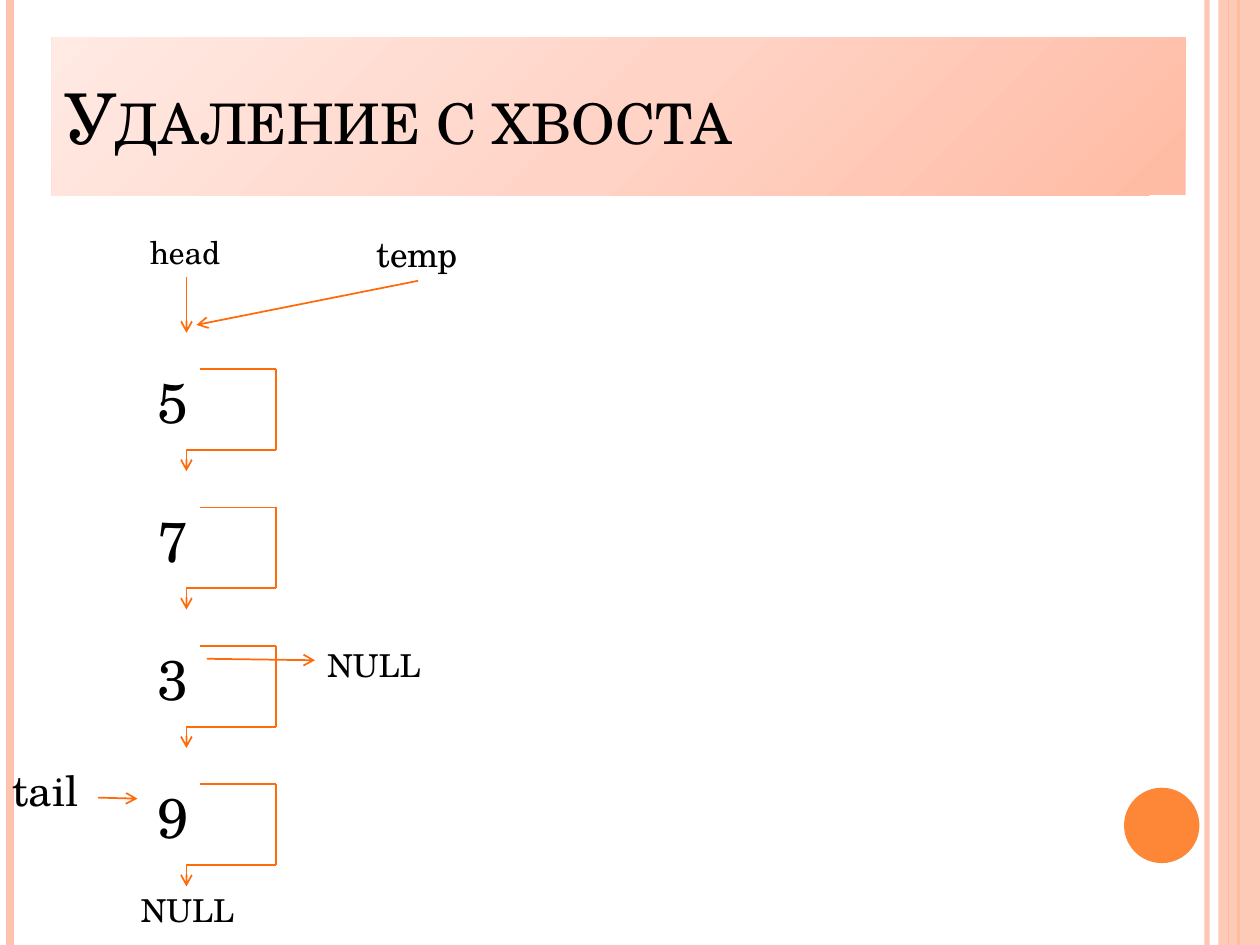
from copy import deepcopy

from lxml import etree
from pptx import Presentation
from pptx.dml.color import RGBColor
from pptx.enum.shapes import MSO_CONNECTOR, MSO_SHAPE
from pptx.enum.text import MSO_ANCHOR, MSO_AUTO_SIZE, PP_ALIGN
from pptx.oxml.ns import qn
from pptx.util import Cm, Pt

STRAIGHT, ELBOW = MSO_CONNECTOR.STRAIGHT, MSO_CONNECTOR.ELBOW
RECTANGLE, OVAL = MSO_SHAPE.RECTANGLE, MSO_SHAPE.OVAL
MIDDLE, LEFT = MSO_ANCHOR.MIDDLE, PP_ALIGN.LEFT
FIT_TEXT = MSO_AUTO_SIZE.SHAPE_TO_FIT_TEXT

FONT = "TeX Gyre Schola"
COLORS = {
    "text": "000000", "arrow": "FF6B0A", "accent": "FE8637", "stripe": "FEC3AE",
    "title dark": "FFBBA3", "title mid": "FFD4C7", "title light": "FFEAE4",
}

# Content; all lengths in centimetres
WIDTH, HEIGHT = 25.4, 19.05
TITLE = "Удаление с хвоста"
NODES = ["5", "7", "3", "9"]
LABELS = [  # text, left, top, width, height, size, wrap
    ("temp", 7.34, 4.57, 2.18, 1.12, 20, False),
    ("tail", 0, 15.29, 1.98, 1.27, 24, True),
    ("head", 2.77, 4.57, 1.98, 1.02, 18, True),
    ("NULL", 2.59, 17.83, 2.59, 1.02, 18, True),
    ("NULL", 6.35, 12.9, 2.59, 1.02, 18, True),
]
POINTERS = [  # start, end
    ((1.98, 16.08), (2.77, 16.1)),
    ((3.76, 5.59), (3.76, 6.71)),
    ((8.43, 5.66), (3.96, 6.55)),
    ((4.17, 13.28), (6.35, 13.31)),
]
STRIPES = [  # x, colour, line width, opacity
    (24.33, "stripe", 3, 93),
    (0.2, "stripe", 4.5, 100),
    (24.97, "accent", 1.5, 100),
    (24.77, "accent", 0.75, 100),
]
FIRST_LINK_TOP, NODE_STEP = 7.44, 2.79
LINK_LEFT, LINK_RIGHT, ARROW_X = 4.04, 5.56, 3.76
LINK_HEIGHT, ARROW_HEIGHT = 1.63, 0.43


def rgb(name):
    return RGBColor.from_string(COLORS[name])


def set_opacity(element, percent):
    color = next(element.iter(qn("a:srgbClr")))
    etree.SubElement(color, qn("a:alpha")).set("val", str(percent * 1000))


def add_line(slide, start, end, color="arrow", width=1, kind=STRAIGHT, arrow=False):
    line = slide.shapes.add_connector(kind, *map(Cm, start + end))
    line.line.color.rgb = rgb(color)
    line.line.width = Pt(width)
    properties = line._element.spPr
    if arrow:
        etree.SubElement(properties.find(qn("a:ln")), qn("a:tailEnd")).set("type", "arrow")
    etree.SubElement(properties, qn("a:effectLst"))
    return line


def add_block(slide, kind, color, *box):
    block = slide.shapes.add_shape(kind, *map(Cm, box))
    block.shadow.inherit = False
    block.fill.solid()
    block.fill.fore_color.rgb = rgb(color)
    block.line.fill.background()
    return block


def write(paragraph, text, size):
    run = paragraph.add_run()
    run.text = text
    run.font.name, run.font.size = FONT, Pt(size)
    run.font.color.rgb = rgb("text")
    return run


def add_label(slide, text, left, top, width, height, size, wrap=True):
    label = slide.shapes.add_textbox(Cm(left), Cm(top), Cm(width), Cm(height))
    frame = label.text_frame
    frame.word_wrap, frame.auto_size = wrap, FIT_TEXT
    write(frame.paragraphs[0], text, size)


def format_title(title):
    title.left, title.top, title.width, title.height = map(Cm, (1.04, 0.76, 22.86, 3.18))
    title.fill.gradient()
    title.fill.gradient_angle = 135
    stops = title._element.spPr.find(qn("a:gradFill")).find(qn("a:gsLst"))
    stops.insert(1, deepcopy(stops[0]))
    for stop, position, color in zip(title.fill.gradient_stops, (0, 0.5, 1),
                                     ("title dark", "title mid", "title light")):
        stop.position = position
        stop.color.rgb = rgb(color)
    frame = title.text_frame
    frame.vertical_anchor, frame.word_wrap = MIDDLE, True
    frame.paragraphs[0].alignment = LEFT
    run = write(frame.paragraphs[0], TITLE, 40)
    run.font._element.set("cap", "small")


def add_link(slide, top):
    bottom = top + LINK_HEIGHT
    add_line(slide, (LINK_LEFT, top), (LINK_RIGHT, top), kind=ELBOW)
    add_line(slide, (LINK_RIGHT, top), (LINK_RIGHT, bottom), kind=ELBOW)
    corner = add_line(slide, (LINK_RIGHT, bottom), (ARROW_X, bottom + ARROW_HEIGHT),
                      kind=ELBOW, arrow=True)
    corner._element.spPr.find(qn("a:prstGeom")).set("prst", "bentConnector2")


def main():
    deck = Presentation()
    deck.slide_width, deck.slide_height = Cm(WIDTH), Cm(HEIGHT)
    slide = deck.slides.add_slide(deck.slide_layouts[5])

    # Side decoration
    for x, color, width, opacity in STRIPES:
        stripe = add_line(slide, (x, 0), (x, HEIGHT), color, width)
        if opacity < 100:
            set_opacity(stripe._element.spPr, opacity)
    band = add_block(slide, RECTANGLE, "stripe", 24.56, 0, 0.84, HEIGHT)
    set_opacity(band._element.spPr, 87)
    add_block(slide, OVAL, "accent", 22.66, 15.88, 1.52, 1.52)

    format_title(slide.shapes.title)

    # List nodes, each linked to the next
    for index, value in enumerate(NODES):
        top = FIRST_LINK_TOP + index * NODE_STEP
        add_label(slide, value, 2.92, top - 0.15, 0.69, 1.63, 32)
        add_link(slide, top)

    # Named pointers
    for label in LABELS:
        add_label(slide, *label)
    for start, end in POINTERS:
        add_line(slide, start, end, arrow=True)

    deck.save("out.pptx")


if __name__ == "__main__":
    main()
